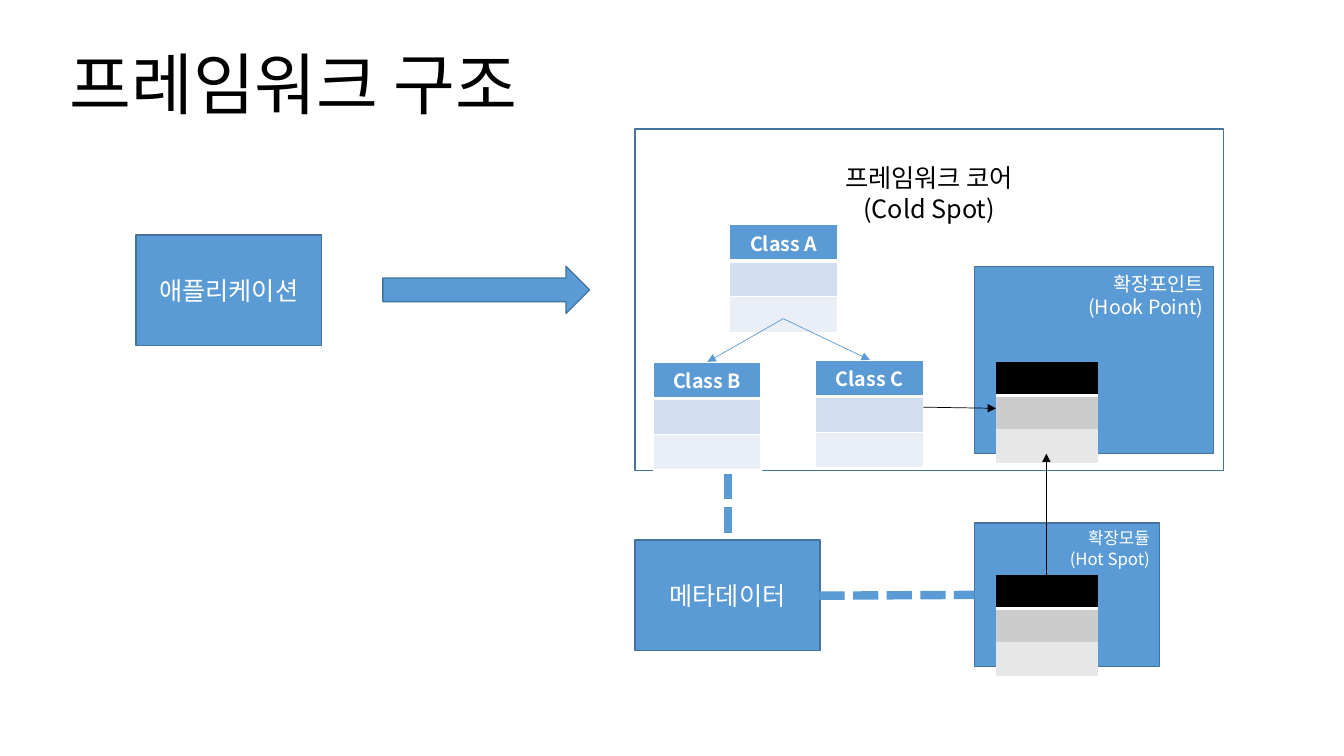
from pptx import Presentation
from pptx.dml.color import RGBColor
from pptx.enum.dml import MSO_LINE
from pptx.enum.shapes import MSO_CONNECTOR, MSO_SHAPE
from pptx.enum.text import MSO_ANCHOR as ANCHOR, PP_ALIGN as ALIGN
from pptx.oxml.ns import qn
from pptx.util import Cm, Pt
from lxml.etree import SubElement

FONT = "Noto Sans CJK KR"
BLACK, WHITE = RGBColor(0, 0, 0), RGBColor(255, 255, 255)
BLUE, EDGE = RGBColor(0x5B, 0x9B, 0xD5), RGBColor(0x43, 0x73, 0x9E)
CLASS_FILLS = [BLUE, RGBColor(0xD2, 0xDE, 0xEF), RGBColor(0xEA, 0xEF, 0xF7)]
GRAY_FILLS = [BLACK, RGBColor(0xCC, 0xCC, 0xCC), RGBColor(0xE7, 0xE7, 0xE7)]


def write(frame, lines, size, color, align, bold=False):
    """Fill a text frame with one paragraph per line."""
    for i, line in enumerate(lines):
        paragraph = frame.paragraphs[0] if i == 0 else frame.add_paragraph()
        paragraph.alignment = align
        run = paragraph.add_run()
        run.text = line
        run.font.name, run.font.size, run.font.bold = FONT, Pt(size), bold
        run.font.color.rgb = color
        SubElement(run.font._element, qn("a:ea"), typeface=FONT)


def set_borders(cell, widths):
    """Draw white cell borders; a width of 0 means no line."""
    props = cell._tc.get_or_add_tcPr()
    for i, (side, width) in enumerate(widths.items()):
        line = SubElement(props, qn("a:ln" + side), w=str(Pt(width)))
        props.insert(i, line)
        if width:
            fill = SubElement(line, qn("a:solidFill"))
            SubElement(fill, qn("a:srgbClr"), val=str(WHITE))
        else:
            SubElement(line, qn("a:noFill"))


prs = Presentation()
prs.slide_width, prs.slide_height = Cm(33.87), Cm(19.05)
slide = prs.slides.add_slide(prs.slide_layouts[5])

title = slide.shapes.title
title.left, title.top, title.width, title.height = Cm(1.5), Cm(0.97), Cm(29.2), Cm(2.28)
title.text_frame.vertical_anchor = ANCHOR.BOTTOM
write(title.text_frame, ["프레임워크 구조"], 48, BLACK, ALIGN.LEFT)
title.text_frame.paragraphs[0].line_spacing = 0.9

# Boxes: preset, place, fill, lines, size, colour, alignment, anchor, top inset
RECT, ARROW = MSO_SHAPE.RECTANGLE, MSO_SHAPE.RIGHT_ARROW
CENTERED = (WHITE, ALIGN.CENTER, ANCHOR.MIDDLE, 0.13)
CORNER = (WHITE, ALIGN.RIGHT, ANCHOR.TOP, 0.13)
boxes = [
    (RECT, (16, 3.25, 14.83, 8.61), None, ["프레임워크 코어", "(Cold Spot)"], 18,
     BLACK, ALIGN.CENTER, ANCHOR.TOP, 0.85),
    (RECT, (3.43, 5.92, 4.67, 2.79), BLUE, ["애플리케이션"], 18, *CENTERED),
    (RECT, (16, 13.61, 4.67, 2.79), BLUE, ["메타데이터"], 18, *CENTERED),
    (RECT, (24.56, 13.18, 4.67, 3.61), BLUE, ["확장모듈", "(Hot Spot)"], 12, *CORNER),
    (RECT, (24.56, 6.71, 6.02, 4.72), BLUE, ["확장포인트", "(Hook Point)"], 14, *CORNER),
    (ARROW, (9.65, 6.71, 5.21, 1.19), BLUE, [], 18, *CENTERED),
]
for preset, place, fill, lines, size, color, align, anchor, inset in boxes:
    box = slide.shapes.add_shape(preset, *map(Cm, place))
    box.shadow.inherit = False
    if fill is None:
        box.fill.background()
    else:
        box.fill.solid()
        box.fill.fore_color.rgb = fill
    box.line.color.rgb, box.line.width = EDGE, Pt(1)
    box.text_frame.word_wrap = True
    box.text_frame.vertical_anchor, box.text_frame.margin_top = anchor, Cm(inset)
    write(box.text_frame, lines, size, color, align)

# Class tables: name, left, top, width, row heights, fills, border, header rule
CLASS_STYLE = (2.72, (0.92, 0.9, 0.9), CLASS_FILLS, 1, 3)
GRAY_STYLE = (2.57, (0.85, 0.85, 0.85), GRAY_FILLS, 0, 2)
classes = [
    ("Class A", 18.39, 5.66, *CLASS_STYLE),
    ("Class B", 16.46, 9.12, *CLASS_STYLE),
    ("Class C", 20.55, 9.07, *CLASS_STYLE),
    ("", 25.1, 9.12, *GRAY_STYLE),
    ("", 25.1, 14.48, *GRAY_STYLE),
]
for name, left, top, width, heights, fills, border, rule in classes:
    table = slide.shapes.add_table(
        3, 1, Cm(left), Cm(top), Cm(width), Cm(sum(heights))).table
    for i, (height, fill) in enumerate(zip(heights, fills)):
        table.rows[i].height = Cm(height)
        cell = table.cell(i, 0)
        cell.margin_left = cell.margin_right = Cm(0.2)
        cell.margin_top = cell.margin_bottom = Cm(0.1)
        cell.fill.solid()
        cell.fill.fore_color.rgb = fill
        set_borders(cell, {"L": border, "R": border,
                           "T": rule if i == 1 else border,
                           "B": rule if i == 0 else border})
        if name and i == 0:
            write(cell.text_frame, [name], 14, WHITE, ALIGN.CENTER, True)
        else:
            SubElement(cell.text_frame.paragraphs[0]._p, qn("a:endParaRPr"), sz="1000")

# Links: start, end, colour, width, dashed (dashed ones have no arrowhead)
links = [
    ((19.74, 8.03), (17.83, 9.12), BLUE, 0.5, False),
    ((19.74, 8.03), (21.92, 9.07), BLUE, 0.5, False),
    ((23.27, 10.26), (25.1, 10.29), BLACK, 0.5, False),
    ((26.37, 14.48), (26.37, 11.43), BLACK, 0.5, False),
    ((20.65, 15.01), (24.56, 14.99), BLUE, 6, True),
    ((18.34, 11.94), (18.34, 13.61), BLUE, 6, True),
]
for start, end, color, width, dashed in links:
    link = slide.shapes.add_connector(MSO_CONNECTOR.STRAIGHT, *map(Cm, start + end))
    link.line.color.rgb, link.line.width = color, Pt(width)
    if dashed:
        link.line.dash_style = MSO_LINE.SQUARE_DOT
    else:
        SubElement(link.line._get_or_add_ln(), qn("a:tailEnd"), type="triangle")
    SubElement(link._element.spPr, qn("a:effectLst"))

prs.save("out.pptx")
